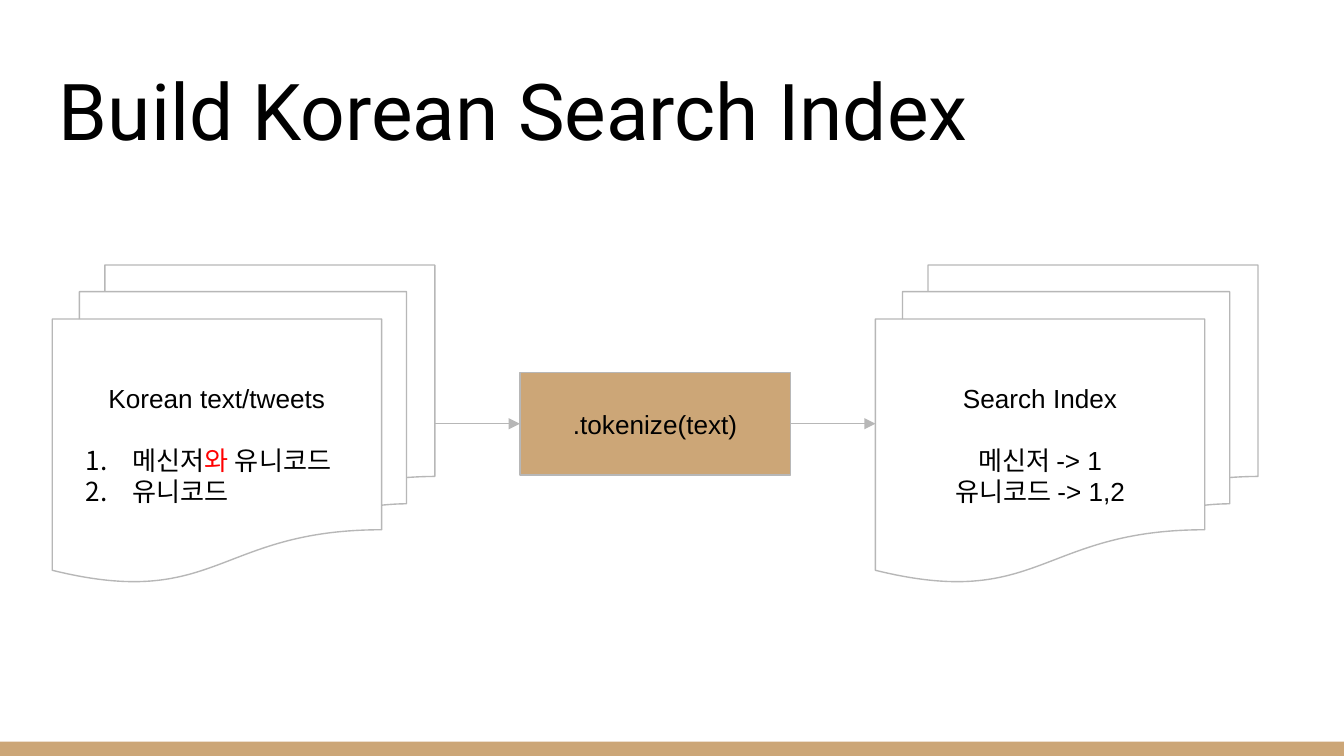
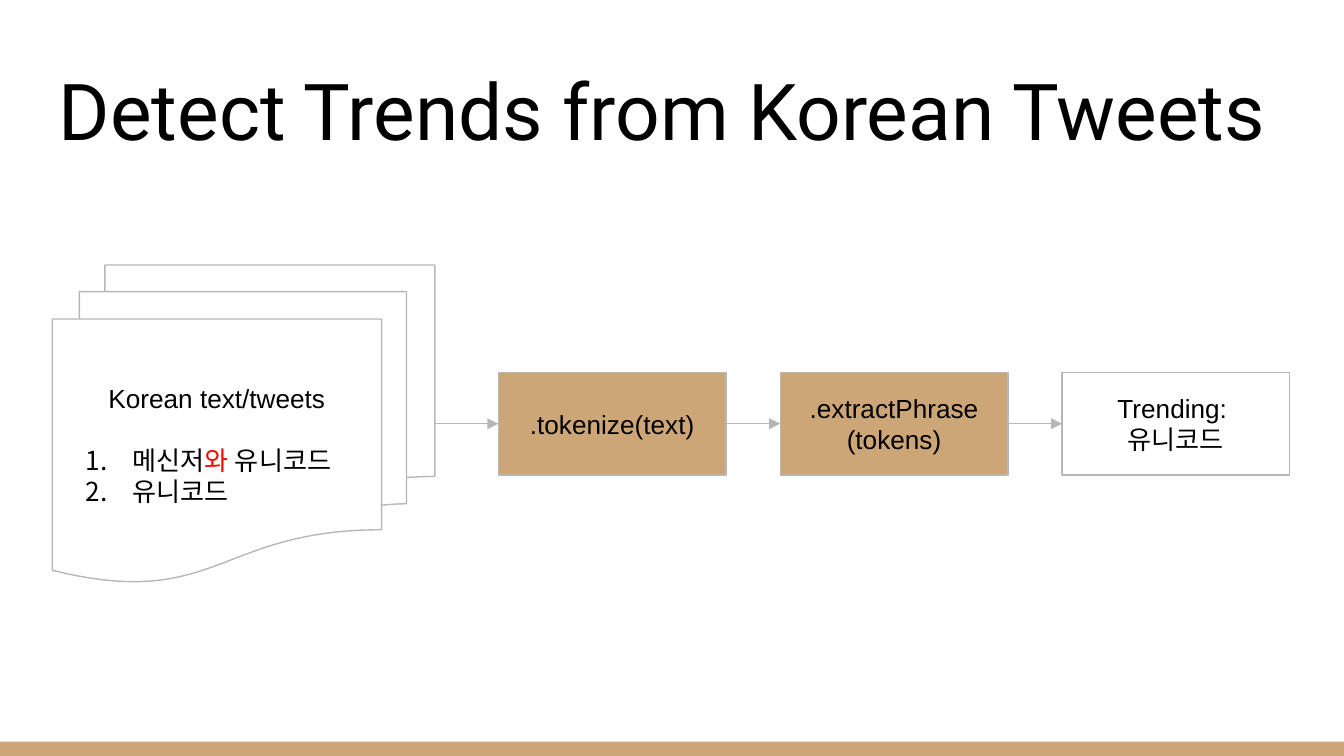
from dataclasses import dataclass

from lxml.etree import SubElement
from pptx import Presentation
from pptx.dml.color import RGBColor
from pptx.enum.shapes import MSO_CONNECTOR, MSO_SHAPE
from pptx.enum.text import MSO_ANCHOR, PP_ALIGN
from pptx.oxml.ns import qn
from pptx.util import Pt


@dataclass(frozen=True)
class Theme:
    ink: str = "000000"
    paper: str = "FFFFFF"
    tan: str = "CCA677"
    grey: str = "B7B7B7"
    red: str = "FF0000"
    title_font: str = "Roboto"
    body_font: str = "Arial"
    title_size: float = 42
    body_size: float = 14
    line_width: float = 0.75
    inset: float = 7.2


THEME = Theme()
WIDTH, HEIGHT = 720, 405
BAND_HEIGHT = 7.7
STACK_TOP, STACK_WIDTH, STACK_HEIGHT = 142, 205, 170
STEP_HEIGHT = 55
STEP_TOP = STACK_TOP + (STACK_HEIGHT - STEP_HEIGHT) / 2
STACK_LEFT = 28
BLANK_LINE = 16


def color(value):
    return RGBColor.from_string(value)


def style_paragraph(para, font, size):
    para.font.name = font
    para.font.size = Pt(size)
    para.font.color.rgb = color(THEME.ink)


def frame_text(box, anchor):
    frame = box.text_frame
    frame.word_wrap = True
    frame.vertical_anchor = anchor
    frame.margin_left = frame.margin_right = Pt(THEME.inset)
    frame.margin_top = frame.margin_bottom = Pt(THEME.inset)
    return frame


def add_box(page, kind, left, top, width, height, fill, outlined=True):
    box = page.shapes.add_shape(kind, Pt(left), Pt(top), Pt(width), Pt(height))
    box.shadow.inherit = False
    box.fill.solid()
    box.fill.fore_color.rgb = color(fill)
    if outlined:
        box.line.color.rgb = color(THEME.grey)
        box.line.width = Pt(THEME.line_width)
    else:
        box.line.fill.background()
    return box


def number_paragraph(para):
    properties = para._p.get_or_add_pPr()
    properties.set("marL", str(Pt(36)))
    properties.set("indent", str(Pt(-25.2)))
    bullet_color = SubElement(properties, qn("a:buClr"))
    SubElement(bullet_color, qn("a:srgbClr"), val=THEME.ink)
    SubElement(properties, qn("a:buAutoNum"), type="arabicPeriod")


def add_page(deck, title):
    page = deck.slides.add_slide(deck.slide_layouts[6])
    # Footer band
    add_box(page, MSO_SHAPE.RECTANGLE, 0, HEIGHT - BAND_HEIGHT, WIDTH,
            BAND_HEIGHT, THEME.tan, outlined=False)
    # Title
    box = page.shapes.add_textbox(Pt(24.5), Pt(25.2), Pt(671), Pt(65.5))
    para = frame_text(box, MSO_ANCHOR.BOTTOM).paragraphs[0]
    para.text = title
    style_paragraph(para, THEME.title_font, THEME.title_size)
    return page


def add_stack(page, left, heading, lines, numbered=False):
    """Each line is a list of (text, colour) spans below the heading."""
    stack = add_box(page, MSO_SHAPE.FLOWCHART_MULTIDOCUMENT, left, STACK_TOP,
                    STACK_WIDTH, STACK_HEIGHT, THEME.paper)
    frame = frame_text(stack, MSO_ANCHOR.MIDDLE)
    para = frame.paragraphs[0]
    para.text = heading
    para.alignment = PP_ALIGN.CENTER
    style_paragraph(para, THEME.body_font, THEME.body_size)
    for index, line in enumerate(lines):
        para = frame.add_paragraph()
        if numbered:
            number_paragraph(para)
        para.alignment = PP_ALIGN.LEFT if numbered else PP_ALIGN.CENTER
        if index == 0:
            para.space_before = Pt(BLANK_LINE)
        style_paragraph(para, THEME.body_font, THEME.body_size)
        for text, ink in line:
            span = para.add_run()
            span.text = text
            span.font.color.rgb = color(ink)
    return stack


def add_source_stack(page):
    first = [("메신저", THEME.ink), ("와", THEME.red), (" 유니코드", THEME.ink)]
    return add_stack(page, STACK_LEFT, "Korean text/tweets",
                     [first, [("유니코드", THEME.ink)]], numbered=True)


def add_step(page, left, width, text, fill=THEME.tan):
    step = add_box(page, MSO_SHAPE.RECTANGLE, left, STEP_TOP, width,
                   STEP_HEIGHT, fill)
    para = frame_text(step, MSO_ANCHOR.MIDDLE).paragraphs[0]
    para.text = text
    para.alignment = PP_ALIGN.CENTER
    style_paragraph(para, THEME.body_font, THEME.body_size)
    return step


def chain(page, boxes):
    """Join each box to the next with an arrow, right side to left side."""
    for start, end in zip(boxes, boxes[1:]):
        arrow = page.shapes.add_connector(MSO_CONNECTOR.STRAIGHT, 0, 0, 0, 0)
        arrow.begin_connect(start, 3)
        arrow.end_connect(end, 1)
        arrow.line.color.rgb = color(THEME.grey)
        arrow.line.width = Pt(THEME.line_width)
        SubElement(arrow.line._get_or_add_ln(), qn("a:tailEnd"), type="triangle")
        SubElement(arrow._element.spPr, qn("a:effectLst"))


def build_index_page(deck):
    page = add_page(deck, "Build Korean Search Index")
    step_width, gap = 145, 45.5
    step_left = STACK_LEFT + STACK_WIDTH + gap
    source = add_source_stack(page)
    step = add_step(page, step_left, step_width, ".tokenize(text)")
    entries = ["메신저 -> 1", "유니코드 -> 1,2"]
    index = add_stack(page, step_left + step_width + gap, "Search Index",
                      [[(entry, THEME.ink)] for entry in entries])
    chain(page, [source, step, index])


def build_trends_page(deck):
    page = add_page(deck, "Detect Trends from Korean Tweets")
    first_left, pitch, step_width = 267, 151, 122
    boxes = [add_source_stack(page)]
    steps = [
        (".tokenize(text)", THEME.tan),
        (".extractPhrase\v(tokens)", THEME.tan),
        ("Trending: \v유니코드", THEME.paper),
    ]
    for index, (text, fill) in enumerate(steps):
        left = first_left + index * pitch
        boxes.append(add_step(page, left, step_width, text, fill))
    chain(page, boxes)


def main():
    deck = Presentation()
    deck.slide_width, deck.slide_height = Pt(WIDTH), Pt(HEIGHT)
    build_index_page(deck)
    build_trends_page(deck)
    deck.save("out.pptx")


if __name__ == "__main__":
    main()
